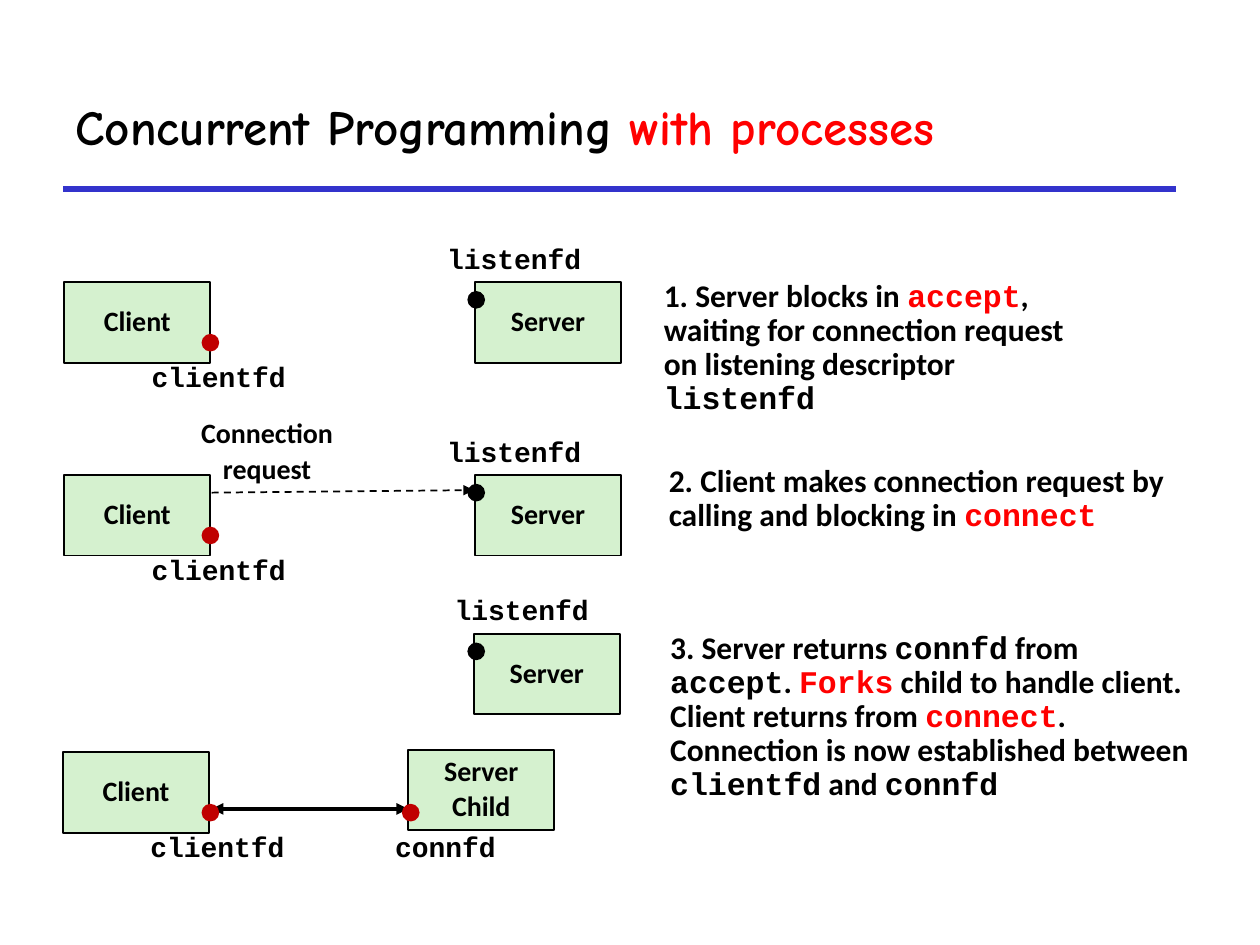
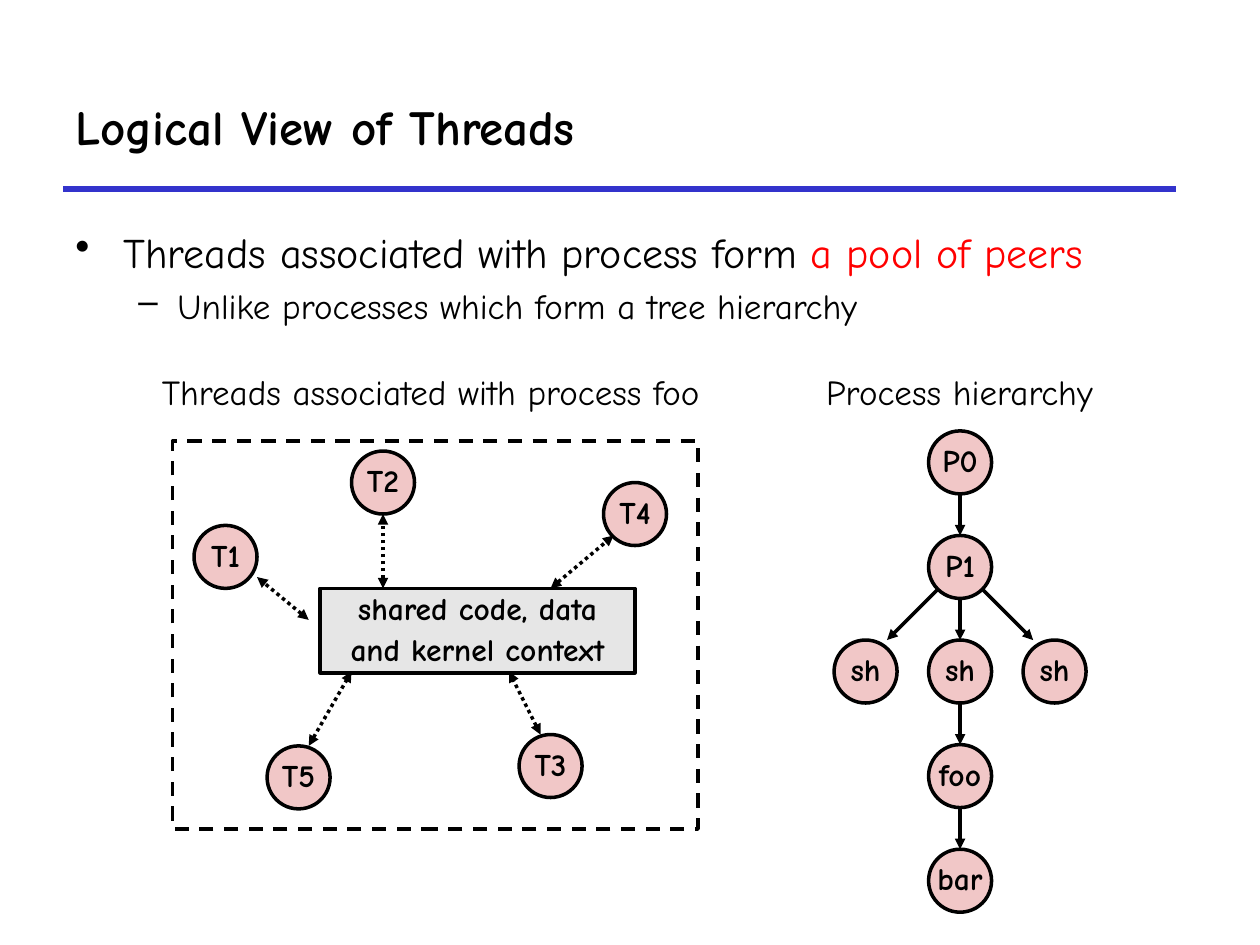
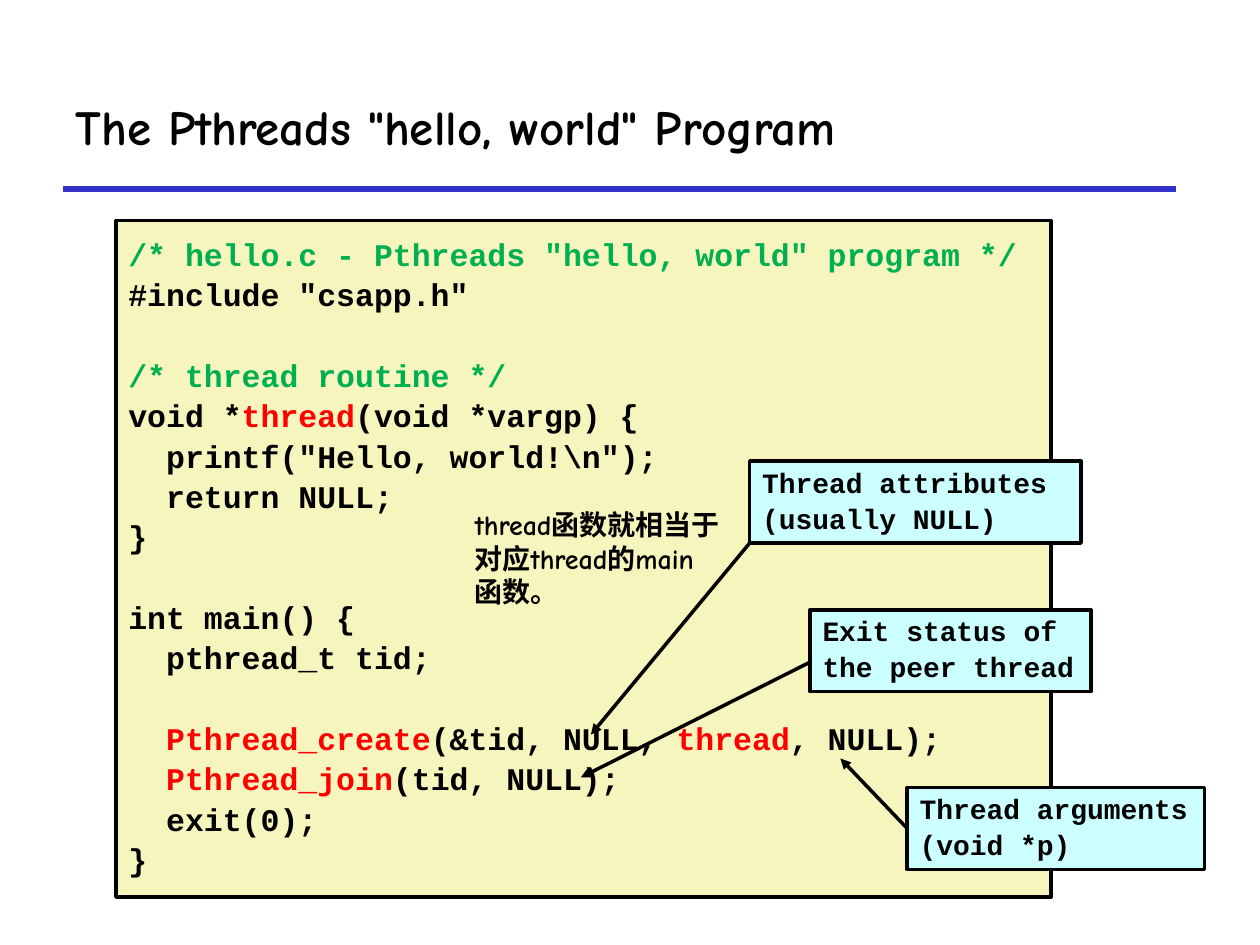
from lxml.etree import SubElement
from pptx import Presentation
from pptx.dml.color import RGBColor
from pptx.enum.dml import MSO_LINE
from pptx.enum.shapes import MSO_CONNECTOR, MSO_SHAPE
from pptx.enum.text import MSO_ANCHOR, MSO_AUTO_SIZE, PP_ALIGN
from pptx.oxml.ns import qn
from pptx.util import Inches, Pt

COLORS = {
    "black": "000000",
    "red": "FF0000",
    "comment": "00B050",
    "rule": "3333CC",
    "endpoint": "D5F1CF",
    "client_dot": "C00000",
    "node": "F1C7C7",
    "shared": "E6E6E6",
    "code": "F6F5BD",
    "callout": "CCFFFF",
}
SANS, COMIC, MONO = "Calibri", "Comic Neue", "Courier New"
BOX_WIDTH, BOX_HEIGHT = 1.16, 0.64
NODE_SIZE = 0.5
DOT_SIZE = 0.14


def rgb(name):
    return RGBColor.from_string(COLORS[name])


def mono(text, color="black"):
    return text, color, MONO


def red(text):
    return text, "red", None


def write_paragraph(paragraph, runs, size, font, bold=True, color="black"):
    paragraph.font.size = Pt(size)
    paragraph.font.name = font
    paragraph.font.bold = bold
    paragraph.font.color.rgb = rgb(color)
    for part in [runs] if isinstance(runs, str) else runs:
        text, run_color, run_font = (part, None, None) if isinstance(part, str) else part
        run = paragraph.add_run()
        run.text = text
        if run_color:
            run.font.color.rgb = rgb(run_color)
        if run_font:
            run.font.name = run_font


def add_space_before(paragraph):
    spacing = SubElement(paragraph._p.get_or_add_pPr(), qn("a:spcBef"))
    SubElement(spacing, qn("a:spcPct")).set("val", "20000")


def write_lines(frame, lines, size, font, bold=True, align=PP_ALIGN.CENTER,
                spaced=True, wrap=False, anchor=MSO_ANCHOR.MIDDLE):
    frame.word_wrap = wrap
    frame.vertical_anchor = anchor
    for index, runs in enumerate(lines):
        paragraph = frame.add_paragraph() if index else frame.paragraphs[0]
        paragraph.alignment = align
        if spaced:
            paragraph.line_spacing = 0.9
            if index:
                add_space_before(paragraph)
        write_paragraph(paragraph, runs, size, font, bold)


def add_label(slide, area, lines, size, font, **options):
    label = slide.shapes.add_textbox(*map(Inches, area))
    write_lines(label.text_frame, lines, size, font, **options)
    label.text_frame.auto_size = MSO_AUTO_SIZE.SHAPE_TO_FIT_TEXT


def add_figure(slide, kind, area, fill=None, width=None, dash=None):
    figure = slide.shapes.add_shape(kind, *map(Inches, area))
    figure.shadow.inherit = False
    if fill:
        figure.fill.solid()
        figure.fill.fore_color.rgb = rgb(fill)
    else:
        figure.fill.background()
    if width:
        figure.line.color.rgb = rgb("black")
        figure.line.width = Pt(width)
        if dash:
            figure.line.dash_style = dash
    else:
        figure.line.fill.background()
    return figure


def add_line(slide, start, end, width=2, color="black", dash=None, arrows=("tailEnd",)):
    line = slide.shapes.add_connector(MSO_CONNECTOR.STRAIGHT, *map(Inches, (*start, *end)))
    line.line.color.rgb = rgb(color)
    line.line.width = Pt(width)
    if dash:
        line.line.dash_style = dash
    for arrow in arrows:
        SubElement(line.line._get_or_add_ln(), qn(f"a:{arrow}")).set("type", "triangle")
    SubElement(line._element.spPr, qn("a:effectLst"))
    return line


def add_titled_slide(prs, title_runs):
    slide = prs.slides.add_slide(prs.slide_layouts[5])
    title = slide.shapes.title
    title.left, title.top, title.width, title.height = map(Inches, (0.5, 0.5, 8.83, 1))
    frame = title.text_frame
    frame.auto_size = MSO_AUTO_SIZE.NONE
    frame.vertical_anchor = MSO_ANCHOR.MIDDLE
    frame.paragraphs[0].alignment = PP_ALIGN.LEFT
    write_paragraph(frame.paragraphs[0], title_runs, 28, COMIC)
    add_line(slide, (0.5, 1.5), (9.33, 1.5), 3, "rule", arrows=())
    return slide


def add_endpoint(slide, lines, left, top):
    box = add_figure(slide, MSO_SHAPE.RECTANGLE, (left, top, BOX_WIDTH, BOX_HEIGHT), "endpoint", 1)
    write_lines(box.text_frame, lines, 16, SANS)


def add_dot(slide, left, top, color):
    add_figure(slide, MSO_SHAPE.OVAL, (left, top, DOT_SIZE, DOT_SIZE), color)


def add_client(slide, left, top):
    add_endpoint(slide, ["Client"], left, top)
    add_label(slide, (left + 0.59, top + 0.58, 1.27, 0.37), ["clientfd"], 16, MONO)
    add_dot(slide, 1.6, top + 0.41, "client_dot")


def add_server(slide, left, top, label_left):
    add_endpoint(slide, ["Server"], left, top)
    add_label(slide, (label_left, top - 0.35, 1.28, 0.35), ["listenfd"], 16, MONO)
    add_dot(slide, 3.71, top + 0.07, "black")


def add_step(slide, area, runs):
    add_label(slide, area, [runs], 18, SANS, align=PP_ALIGN.LEFT, wrap=True)


def add_node(slide, name, left, top):
    node = add_figure(slide, MSO_SHAPE.OVAL, (left, top, NODE_SIZE, NODE_SIZE), "node", 2)
    write_lines(node.text_frame, [name], 18, COMIC)


def add_bullets(slide, area, items):
    frame = slide.shapes.add_textbox(*map(Inches, area)).text_frame
    frame.word_wrap = True
    for index, (mark, indent, hanging, size, runs) in enumerate(items):
        paragraph = frame.add_paragraph() if index else frame.paragraphs[0]
        properties = paragraph._p.get_or_add_pPr()
        properties.set("marL", str(Inches(indent)))
        properties.set("indent", str(-Inches(hanging)))
        if index:
            paragraph.level = 1
            add_space_before(paragraph)
        SubElement(properties, qn("a:buChar")).set("char", mark)
        write_paragraph(paragraph, runs, size, COMIC, bold=False)


def add_callout(slide, area, lines):
    callout = add_figure(slide, MSO_SHAPE.RECTANGLE, area, "callout", 2)
    write_lines(callout.text_frame, lines, 16, MONO, align=PP_ALIGN.LEFT)
    return callout


def build_processes(prs):
    slide = add_titled_slide(prs, ["Concurrent Programming ", red("with processes")])
    add_line(slide, (1.68, 3.91), (3.76, 3.89), 1, dash=MSO_LINE.DASH)
    add_line(slide, (1.68, 6.42), (3.24, 6.42), 2.25, arrows=("headEnd", "tailEnd"))
    for left, top in ((0.51, 2.24), (0.51, 3.77), (0.5, 5.97)):
        add_client(slide, left, top)
    for left, top, label_left in ((3.77, 2.24, 3.44), (3.77, 3.77, 3.44), (3.76, 5.03, 3.5)):
        add_server(slide, left, top, label_left)
    add_endpoint(slide, ["Server", "Child"], 3.24, 5.95)
    add_dot(slide, 3.19, 6.38, "client_dot")
    add_label(slide, (3.03, 6.56, 1.01, 0.35), ["connfd"], 16, MONO)
    add_label(slide, (1.49, 3.27, 1.26, 0.64), ["Connection", "request"], 16, SANS)

    add_step(slide, (5.17, 2.17, 3.6, 1.19), [
        "1. Server blocks in ", mono("accept", "red"),
        ", waiting for connection request on listening descriptor ", mono("listenfd")])
    add_step(slide, (5.21, 3.64, 4.23, 0.65), [
        "2. Client makes connection request by calling and blocking in ",
        mono("connect", "red")])
    add_step(slide, (5.22, 4.96, 4.39, 1.46), [
        "3. Server returns ", mono("connfd"), " from ", mono("accept"), ". ",
        mono("Forks", "red"), " child to handle client. Client returns from ",
        mono("connect", "red"), ". Connection is now established between ",
        mono("clientfd"), " and ", mono("connfd")])


def build_threads(prs):
    slide = add_titled_slide(prs, "Logical View of Threads")
    add_bullets(slide, (0.5, 1.75, 9.08, 4.83), [
        ("•", 0.38, 0.38, 24, ["Threads associated with process form ", red("a pool of peers")]),
        ("–", 0.81, 0.31, 20, "Unlike processes which form a tree hierarchy"),
    ])
    add_label(slide, (0.82, 2.93, 5.2, 0.4), ["Threads associated with process foo"],
              20, COMIC, bold=False)
    add_label(slide, (6.31, 2.93, 2.61, 0.4), ["Process hierarchy"], 20, COMIC, bold=False)

    add_figure(slide, MSO_SHAPE.RECTANGLE, (1.37, 3.5, 4.17, 3.08), width=2, dash=MSO_LINE.DASH)
    shared = add_figure(slide, MSO_SHAPE.RECTANGLE, (2.54, 4.67, 2.5, 0.67), "shared", 2)
    write_lines(shared.text_frame, ["shared code, data", "and kernel context"], 18, COMIC)
    threads = [
        ("T1", 1.54, 4.17, (2.45, 4.92), (2.04, 4.58)),
        ("T2", 2.79, 3.58, (3.04, 4.67), (3.04, 4.08)),
        ("T3", 4.12, 5.83, (4.29, 5.83), (4.04, 5.33)),
        ("T4", 4.79, 3.83, (4.37, 4.67), (4.87, 4.25)),
        ("T5", 2.12, 5.92, (2.45, 5.92), (2.79, 5.33)),
    ]
    for name, left, top, start, end in threads:
        add_line(slide, start, end, dash=MSO_LINE.ROUND_DOT, arrows=("headEnd", "tailEnd"))
        add_node(slide, name, left, top)

    trunk_left, trunk_top, row_step, column_step = 7.37, 3.42, 0.83, 0.75
    trunk_center = trunk_left + NODE_SIZE / 2
    for row, name in enumerate(["P0", "P1", "sh", "foo", "bar"]):
        top = trunk_top + row * row_step
        if row:
            add_line(slide, (trunk_center, top - row_step + NODE_SIZE), (trunk_center, top))
        add_node(slide, name, trunk_left, top)
    for side in (-1, 1):
        add_line(slide, (trunk_center + side * 0.17, 4.67), (trunk_center + side * 0.58, 5.08))
        add_node(slide, "sh", trunk_left + side * column_step, trunk_top + 2 * row_step)


def build_hello(prs):
    slide = add_titled_slide(prs, 'The Pthreads "hello, world" Program')
    listing = [
        [('/* hello.c - Pthreads "hello, world" program */', "comment", None)],
        '#include "csapp.h"',
        [],
        [("/* thread routine */", "comment", None)],
        ["void *", red("thread"), "(void *vargp) {"],
        '  printf("Hello, world!\\n");',
        "  return NULL;",
        "}",
        [],
        "int main() {",
        "  pthread_t tid;",
        [],
        ["  ", red("Pthread_create"), "(&tid, NULL, ", red("thread"), ", NULL);"],
        ["  ", red("Pthread_join"), "(tid, NULL);"],
        "  exit(0);",
        "}",
    ]
    code = add_figure(slide, MSO_SHAPE.RECTANGLE, (0.92, 1.75, 7.42, 5.37), "code", 2)
    write_lines(code.text_frame, listing, 18, MONO, align=PP_ALIGN.LEFT, wrap=True)

    add_callout(slide, (5.95, 3.66, 2.63, 0.65), ["Thread attributes", "(usually NULL)"])
    arguments = add_callout(slide, (7.2, 6.25, 2.36, 0.65), ["Thread arguments", "(void *p)"])
    add_callout(slide, (6.43, 4.84, 2.23, 0.65), ["Exit status of", "the peer thread"])
    add_line(slide, (5.95, 4.31), (4.69, 5.83))
    add_line(slide, (7.2, 6.58), (6.67, 6.02)).begin_connect(arguments, 1)
    add_line(slide, (6.42, 5.26), (4.61, 6.17))
    add_label(slide, (3.67, 3.98, 2.26, 0.91), ["thread函数就相当于", "对应thread的main", "函数。"],
              16, COMIC, align=PP_ALIGN.LEFT, spaced=False, anchor=MSO_ANCHOR.TOP)


def main():
    prs = Presentation()
    prs.slide_width, prs.slide_height = Inches(10), Inches(7.5)
    build_processes(prs)
    build_threads(prs)
    build_hello(prs)
    prs.save("out.pptx")


if __name__ == "__main__":
    main()
